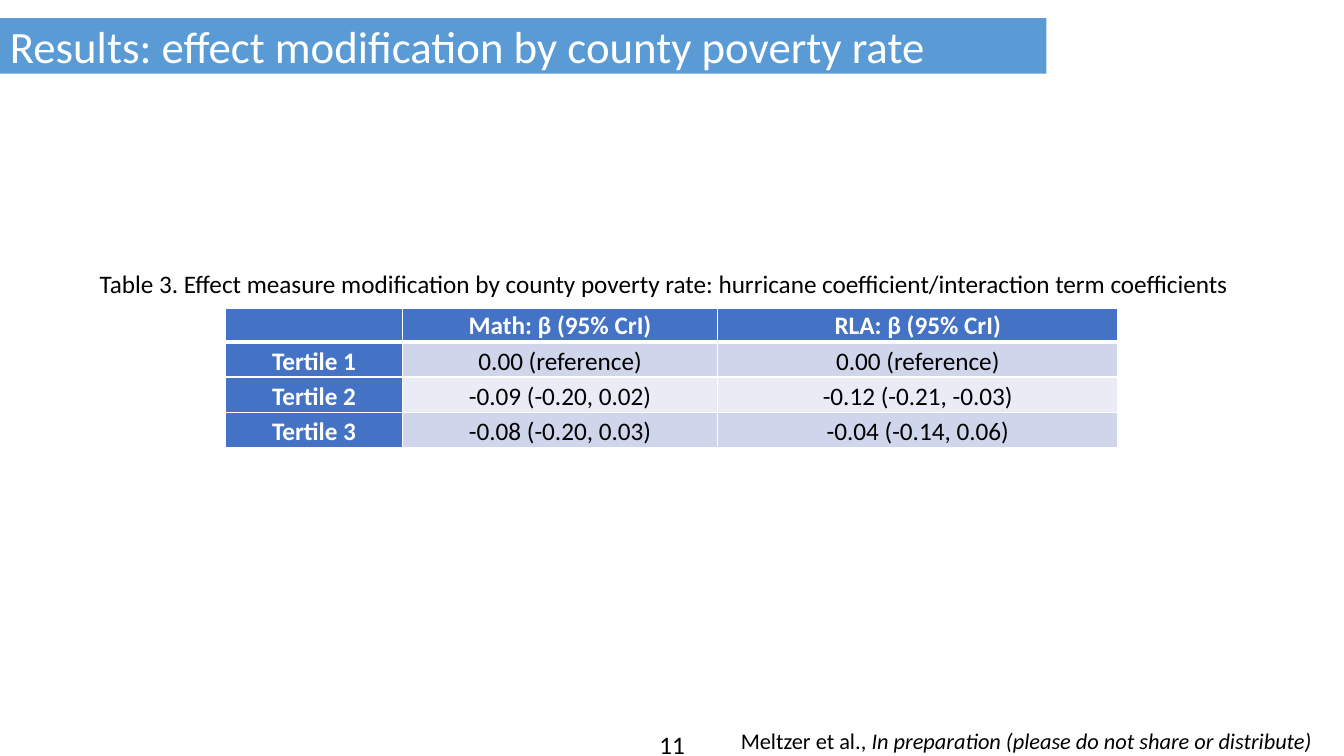
"""Build the slide on effect modification by county poverty rate."""
from pptx import Presentation
from pptx import util as u
from pptx.dml.color import RGBColor
from pptx.enum import shapes, text
from pptx.oxml import parse_xml
from pptx.oxml.ns import nsdecls

COLORS = {
    "white": "FFFFFF",
    "black": "000000",
    "title": "5B9BD5",
    "header": "4472C4",
    "odd row": "CFD5EA",
    "even row": "E9EBF5",
}
FONT = "Calibri"
COLUMN_WIDTHS = (4.45, 7.95, 10.08)
ROW_HEIGHTS = (0.84, 0.89, 0.89, 0.89)
RESULTS = (
    ("", "Math: β (95% CrI)", "RLA: β (95% CrI)"),
    ("Tertile 1", "0.00 (reference)", "0.00 (reference)"),
    ("Tertile 2", "-0.09 (-0.20, 0.02)", "-0.12 (-0.21, -0.03)"),
    ("Tertile 3", "-0.08 (-0.20, 0.03)", "-0.04 (-0.14, 0.06)"),
)


def color(name):
    """Return the named colour."""
    return RGBColor.from_string(COLORS[name])


def style(para, size, ink="black", bold=False, align=text.PP_ALIGN.LEFT):
    """Set the font and alignment of a paragraph."""
    para.alignment = align
    para.font.name = FONT
    para.font.size = u.Pt(size)
    para.font.bold = bold
    para.font.color.rgb = color(ink)


def add_title(page, box, words):
    """Add the title bar."""
    bar = page.shapes.add_shape(shapes.MSO_SHAPE.RECTANGLE, *map(u.Cm, box))
    bar.shadow.inherit = False
    bar.fill.solid()
    bar.fill.fore_color.rgb = color("title")
    bar.line.fill.background()
    bar.text_frame.vertical_anchor = text.MSO_ANCHOR.MIDDLE
    para = bar.text_frame.paragraphs[0]
    para.text = words
    style(para, 32, "white")


def add_label(page, box, spans, size, align=text.PP_ALIGN.LEFT, wrap=True):
    """Add a line of text made of (words, italic) spans."""
    label = page.shapes.add_textbox(*map(u.Cm, box))
    label.text_frame.word_wrap = wrap
    para = label.text_frame.paragraphs[0]
    style(para, size, align=align)
    for words, italic in spans:
        span = para.add_run()
        span.text = words
        if italic:
            span.font.italic = True


def add_borders(cell, top, bottom):
    """Draw white cell borders with the given top and bottom widths in points."""
    for side, width in (("L", 1), ("R", 1), ("T", top), ("B", bottom)):
        cell._tc.get_or_add_tcPr().append(parse_xml(
            f'<a:ln{side} {nsdecls("a")} w="{u.Pt(width)}"><a:solidFill>'
            f'<a:srgbClr val="{COLORS["white"]}"/></a:solidFill></a:ln{side}>'))


def add_results(page, box, rows):
    """Add the table of coefficients."""
    frame = page.shapes.add_table(len(rows), len(rows[0]), *map(u.Cm, box))
    table = frame.table
    table.first_col = True
    for column, width in zip(table.columns, COLUMN_WIDTHS):
        column.width = u.Cm(width)
    for line, height in zip(table.rows, ROW_HEIGHTS):
        line.height = u.Cm(height)
    for r, row in enumerate(rows):
        for c, words in enumerate(row):
            cell = table.cell(r, c)
            heading = r == 0 or c == 0
            add_borders(cell, 3 if r == 1 else 1, 3 if r == 0 else 1)
            cell.fill.solid()
            band = "odd row" if r % 2 else "even row"
            cell.fill.fore_color.rgb = color("header" if heading else band)
            cell.vertical_anchor = text.MSO_ANCHOR.BOTTOM
            cell.margin_left = cell.margin_right = u.Cm(0.3)
            cell.margin_top = cell.margin_bottom = 0
            para = cell.text_frame.paragraphs[0]
            para.text = words
            style(para, 18, "white" if heading else "black", heading,
                  text.PP_ALIGN.CENTER)


def main():
    """Build and save the deck."""
    deck = Presentation()
    deck.slide_width, deck.slide_height = u.Cm(33.87), u.Cm(19.05)
    page = deck.slides.add_slide(deck.slide_layouts[6])
    add_label(page, (13.13, 18.26, 7.62, 1.02), [("11", False)], 18,
              text.PP_ALIGN.CENTER)
    add_title(page, (0, 0.46, 26.37, 1.4),
              "Results: effect modification by county poverty rate")
    add_label(page, (18.42, 18.21, 15.32, 0.94),
              [("Meltzer et al., ", False),
               ("In preparation (please do not share or distribute)", True)], 16)
    add_results(page, (5.69, 7.77, sum(COLUMN_WIDTHS), sum(ROW_HEIGHTS)), RESULTS)
    add_label(page, (2.26, 6.63, 29.34, 1.02),
              [("Table 3. Effect measure modification by county poverty rate: "
                "hurricane coefficient/interaction term coefficients", False)],
              18, wrap=False)
    deck.save("out.pptx")


if __name__ == "__main__":
    main()
